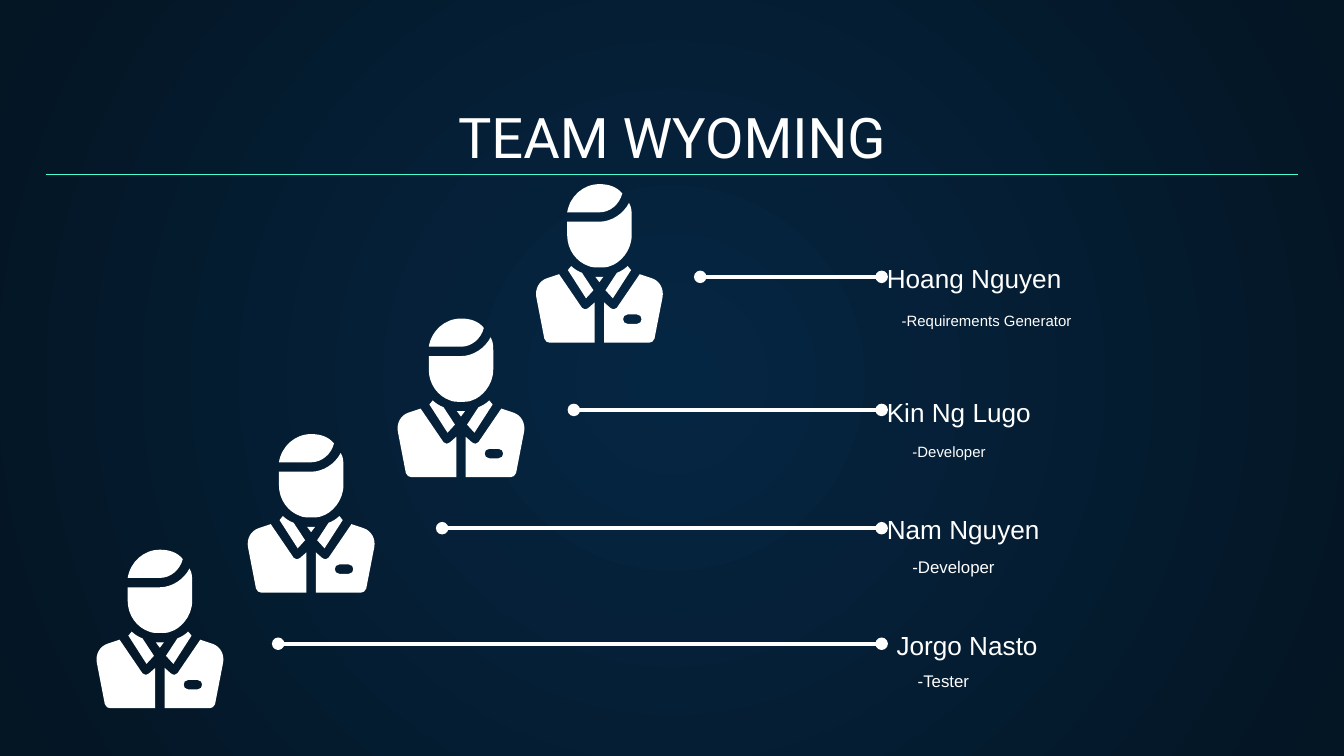
from lxml import etree
from pptx import Presentation
from pptx import util as u
from pptx.dml.color import RGBColor
from pptx.enum import shapes, text
from pptx.oxml import ns

NAVY = RGBColor(0x05, 0x26, 0x43)
INK = RGBColor(0x04, 0x15, 0x23)
WHITE = RGBColor(0xFF, 0xFF, 0xFF)
MINT = RGBColor(0x48, 0xFF, 0xD5)
LEFT, CENTER, RIGHT = text.PP_ALIGN.LEFT, text.PP_ALIGN.CENTER, text.PP_ALIGN.RIGHT
TOP, BOTTOM = text.MSO_ANCHOR.TOP, text.MSO_ANCHOR.BOTTOM

prs = Presentation()
prs.slide_width = u.Inches(10)
prs.slide_height = prs.slide_width * 9 // 16
CELL = prs.slide_width // 1000
FINE = 100
s = prs.slides.add_slide(prs.slide_layouts[6])

bg = s.background.fill
bg.gradient()
for stop, color in zip(bg.gradient_stops, (NAVY, INK)):
    stop.color.rgb = color
grad = s.element.find(".//" + ns.qn("a:gradFill"))
grad.remove(grad.find(ns.qn("a:lin")))
radial = etree.SubElement(grad, ns.qn("a:path"), path="circle")
etree.SubElement(radial, ns.qn("a:fillToRect"), l="50000", t="50000", r="50000", b="50000")


def add_text(box, words, size, font="Arial", anchor=TOP, **para):
    tf = s.shapes.add_textbox(*(n * CELL for n in box)).text_frame
    margins = {"margin_" + side: 10 * CELL for side in ("left", "right", "top", "bottom")}
    p = tf.paragraphs[0]
    r = p.add_run()
    r.text = words
    r.font.color.rgb = WHITE
    formats = (
        (tf, {"word_wrap": True, "vertical_anchor": anchor, **margins}),
        (p, para),
        (r.font, {"name": font, "size": u.Pt(size)}),
    )
    for target, values in formats:
        for key, value in values.items():
            setattr(target, key, value)


def add_outline(outlines, side, left, top):
    ends = [[(side * step[-2] * FINE, step[-1] * FINE) for step in line] for line in outlines]
    pen = s.shapes.build_freeform(*ends[0][0], scale=CELL / FINE)
    for i, pts in enumerate(ends):
        if i:
            pen.move_to(*pts[0])
        pen.add_line_segments(pts[1:], close=True)
    sp = pen.convert_to_shape(int(left * CELL), top * CELL)
    min_x, min_y = (min(pt[axis] for pts in ends for pt in pts) for axis in (0, 1))
    steps = [step for line in outlines for step in line[1:]]
    for node, step in zip(sp.element.findall(".//" + ns.qn("a:lnTo")), steps):
        if len(step) == 6:
            node.tag = ns.qn("a:cubicBezTo")
            for i in (0, 1):
                x = round(side * step[2 * i] * FINE - min_x)
                y = round(step[2 * i + 1] * FINE - min_y)
                node.insert(i, etree.Element(ns.qn("a:pt"), x=str(x), y=str(y)))
    sp.shadow.inherit = False
    sp.fill.solid()
    sp.fill.fore_color.rgb = WHITE
    sp.line.fill.background()


HAIR = [(0, 0), (-12, 0, -22, 9, -24, 21), (0, 21), (8, 21, 15, 15, 17, 7), (13, 2, 7, 0, 0, 0)]
FACE = [(22, 14), (18, 22, 9, 28, 0, 28), (-24, 28), (-24, 38), (-24, 49, -17, 58, -8, 61),
        (-6, 62, -3, 62, 0, 62), (3, 62, 6, 62, 8, 61), (15, 59, 24, 50, 24, 38), (24, 24),
        (24, 21, 24, 17, 22, 14)]
COLLAR = [(21, 61), (19, 63, 16, 65, 13, 66), (4.5, 79), (10, 85), (23.5, 64)]
COAT = [(30, 67), (13, 92), (12, 93.5, 10, 93.5, 8, 92), (3.5, 88), (3.5, 118), (37, 118),
        (39, 118, 40, 117, 41, 115), (47, 84), (48, 78, 45, 72, 39, 70)]
POCKET = [(28, 97), (32.5, 97, 32.5, 104, 28, 104), (21, 104), (16.5, 104, 16.5, 97, 21, 97)]
KNOT = [(-3, 69), (0, 73), (3, 69)]
PERSON = [(1, [HAIR]), (1, [FACE]), (1, [KNOT]), (1, [COLLAR]), (-1, [COLLAR]),
          (1, [COAT, POCKET]), (-1, [COAT])]

add_text((34, 70, 932, 66), "TEAM WYOMING", 30, "Roboto", BOTTOM, alignment=CENTER)

TEAM = [
    ("Hoang Nguyen", 650, 185, LEFT, "-Requirements Generator", 661, 222, 8, 521, 206, 446, 137),
    ("Kin Ng Lugo", 650, 285, LEFT, "-Developer", 669, 320, 8, 427, 305, 343, 237),
    ("Nam Nguyen", 650, 372, LEFT, "-Developer", 669, 403, 9, 329, 393, 231.5, 323),
    ("Jorgo Nasto", 555, 458, RIGHT, "-Tester", 673, 488, 9, 207, 479, 119, 409),
]
rules = [(34, 966, 130, MINT, 0.75, False)]
for name, name_x, name_y, align, role, role_x, role_y, size, start, line_y, mid, top in TEAM:
    add_text((name_x, name_y, 227, 21), name, 14, alignment=align)
    add_text((role_x, role_y, 255, 55), role, size, line_spacing=1.15, space_after=u.Pt(16))
    rules.append((start, 656, line_y, WHITE, 2.25, True))
    for side, outlines in PERSON:
        add_outline(outlines, side, mid, top)

for x1, x2, y, color, width, dots in rules:
    ends = (n * CELL for n in (x1, y, x2, y))
    cx = s.shapes.add_connector(shapes.MSO_CONNECTOR.STRAIGHT, *ends)
    cx.line.color.rgb = color
    cx.line.width = u.Pt(width)
    if dots:
        ln = cx.element.spPr.find(ns.qn("a:ln"))
        for end in ("a:headEnd", "a:tailEnd"):
            etree.SubElement(ln, ns.qn(end), type="oval")
    etree.SubElement(cx.element.spPr, ns.qn("a:effectLst"))

prs.save("out.pptx")
